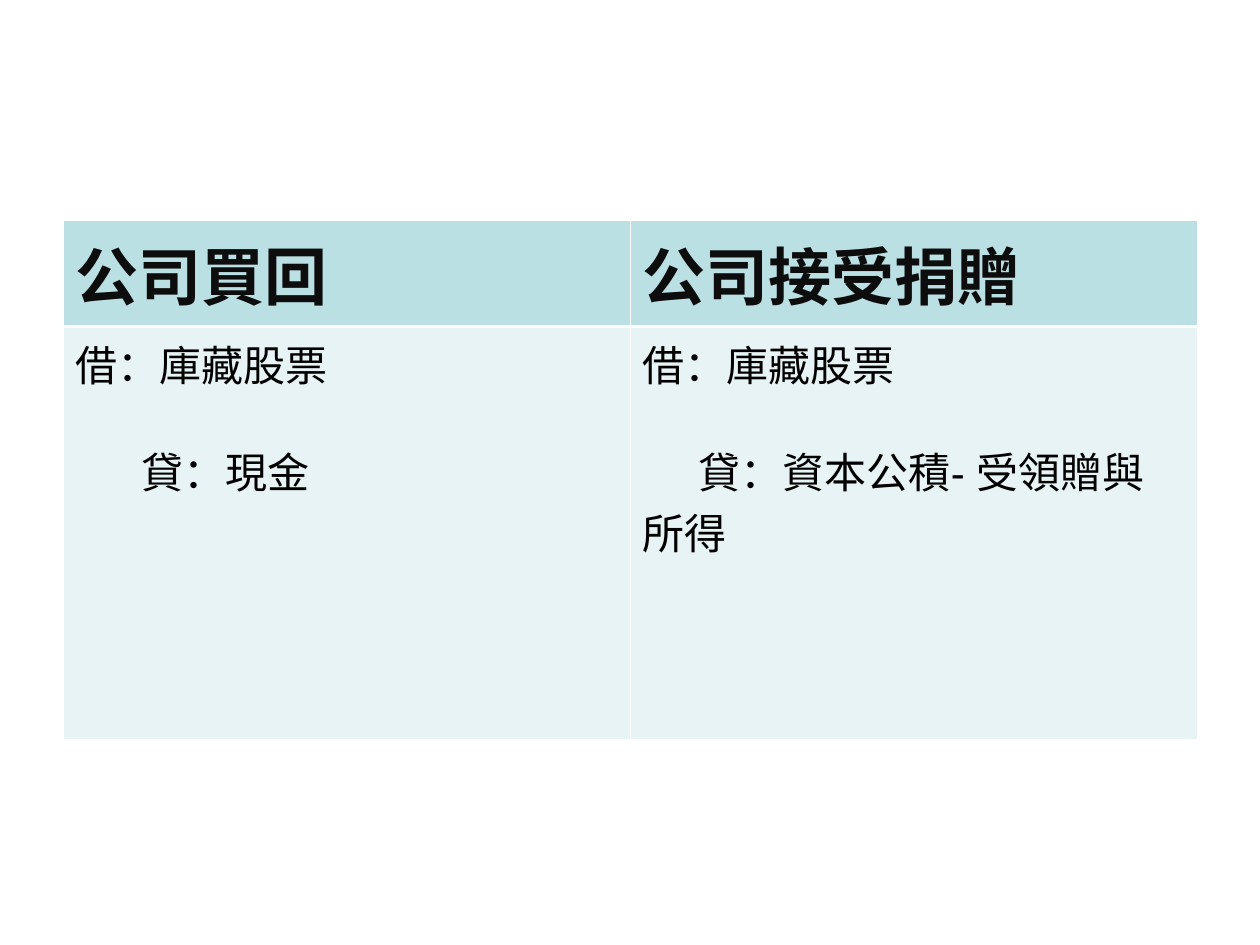
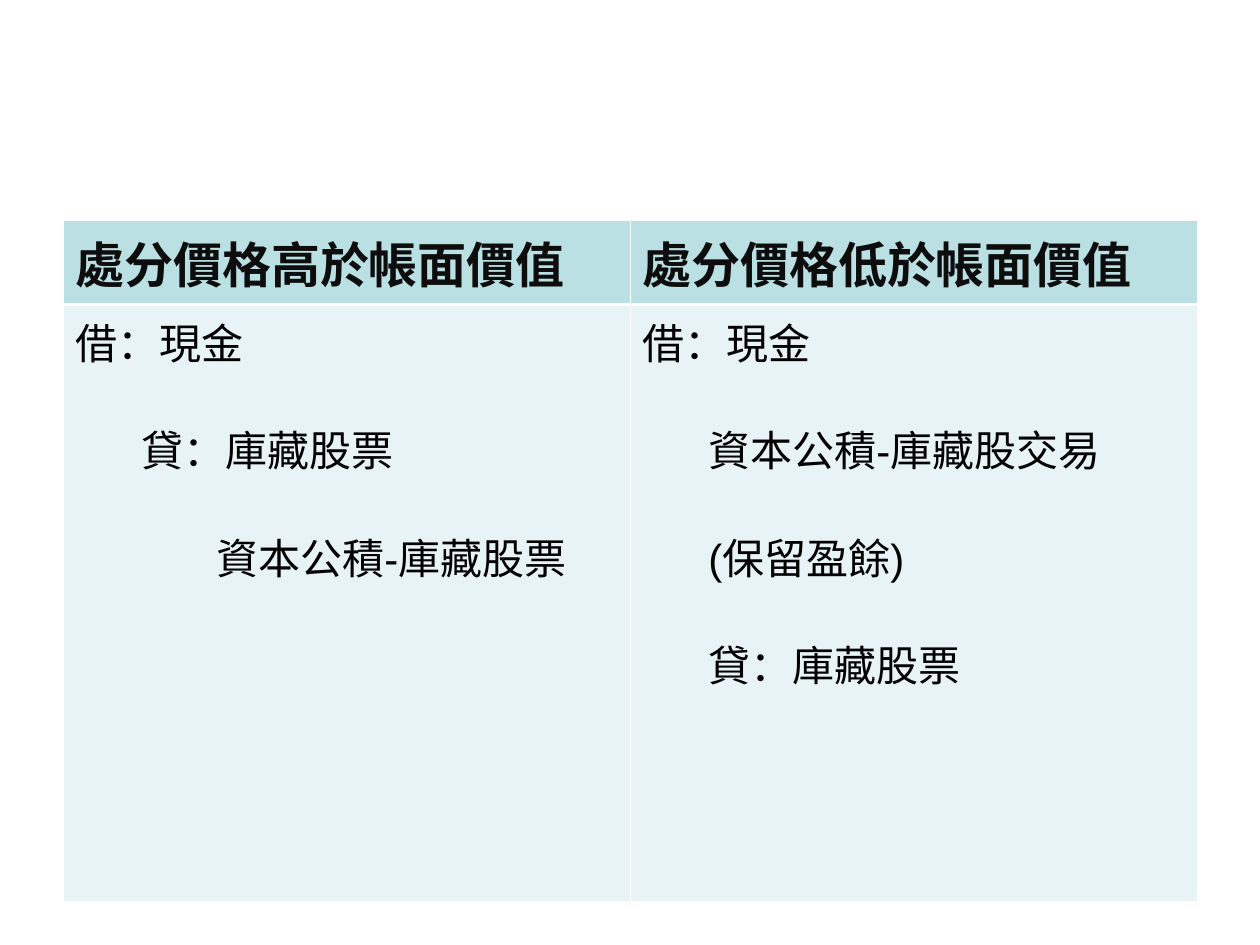
from lxml import etree
from pptx import Presentation
from pptx.dml.color import RGBColor
from pptx.oxml.ns import qn
from pptx.util import Cm, Pt

C = {"header": "BBE0E3", "body": "E7F3F4", "title": "0D0D0D", "text": "000000", "line": "FFFFFF"}
FONT = "Arial"
THIN, THICK = Pt(0.45), Pt(1.47)
STEP, DEEP = 1.33, 2.84

SLIDES = [
    {"title_size": 36, "rows": (2.13, 8.33), "columns": [
        ("公司買回", [("借：庫藏股票", 0), ("貸：現金", STEP)]),
        ("公司接受捐贈", [("借：庫藏股票", 0), ("貸：資本公積- 受領贈與所得", 1.14)]),
    ]},
    {"title_size": 28, "rows": (1.44, 12.04), "columns": [
        ("處分價格高於帳面價值", [("借：現金", 0), ("貸：庫藏股票", STEP), ("資本公積-庫藏股票", DEEP)]),
        ("處分價格低於帳面價值", [("借：現金", 0), ("資本公積-庫藏股交易", STEP),
                        ("(保留盈餘)", STEP), ("貸：庫藏股票", STEP)]),
    ]},
]


def style_cell(cell, fill, top, bottom):
    tcPr = cell._tc.get_or_add_tcPr()
    for side, width in (("L", THIN), ("R", THIN), ("T", top), ("B", bottom)):
        ln = etree.SubElement(tcPr, qn(f"a:ln{side}"), w=str(width))
        solid = etree.SubElement(ln, qn("a:solidFill"))
        etree.SubElement(solid, qn("a:srgbClr"), val=C["line"])
    cell.fill.solid()
    cell.fill.fore_color.rgb = RGBColor.from_string(C[fill])
    cell.margin_left = cell.margin_right = Cm(0.25)
    cell.margin_top = cell.margin_bottom = Cm(0.13)


def style_paragraph(p, size, color, bold):
    p.font.name = FONT
    p.font.size = Pt(size)
    p.font.bold = bold
    p.font.color.rgb = RGBColor.from_string(C[color])


prs = Presentation()
prs.slide_width, prs.slide_height = Cm(25.4), Cm(19.05)

for spec_row in SLIDES:
    s = prs.slides.add_slide(prs.slide_layouts[6])
    rows = spec_row["rows"]
    tbl = s.shapes.add_table(2, 2, Cm(1.27), Cm(4.45), Cm(22.86), Cm(sum(rows))).table
    for row, height in zip(tbl.rows, rows):
        row.height = Cm(height)

    for col, (title, entries) in enumerate(spec_row["columns"]):
        tbl.columns[col].width = Cm(11.43)
        head, body = tbl.cell(0, col), tbl.cell(1, col)
        style_cell(head, "header", THIN, THICK)
        style_cell(body, "body", THICK, THIN)

        p = head.text_frame.paragraphs[0]
        p.text = title
        style_paragraph(p, spec_row["title_size"], "title", True)

        tf = body.text_frame
        for i, (entry, indent) in enumerate(entries):
            p = tf.add_paragraph() if i else tf.paragraphs[0]
            p.text = entry
            pPr = p._p.get_or_add_pPr()
            pPr.set("marL", "0")
            pPr.set("indent", str(Cm(indent)))
            if i:
                p.space_before = Pt(26.5)
            style_paragraph(p, 24, "text", False)

prs.save("out.pptx")
